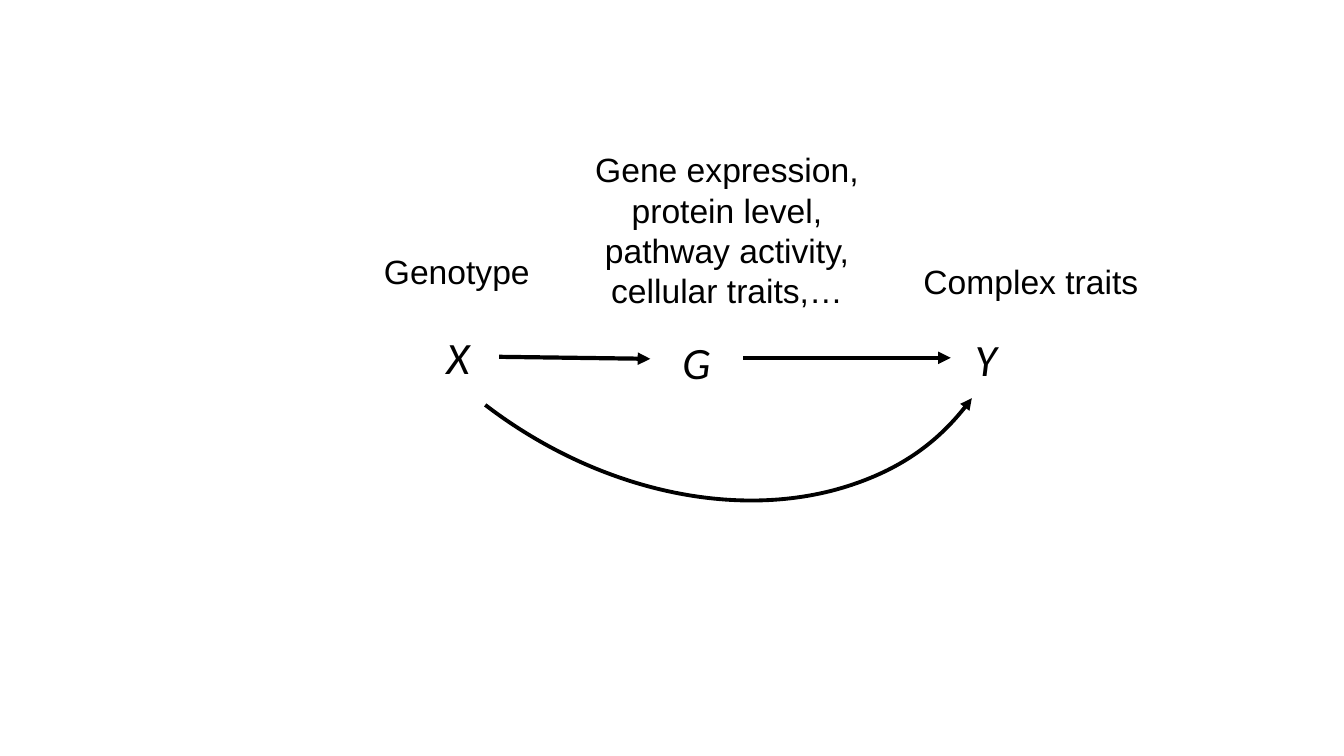
"""Builds a slide with a causal diagram from genotype to complex traits."""
from dataclasses import dataclass

from lxml import etree
from pptx import Presentation
from pptx.dml.color import RGBColor
from pptx.dml.line import LineFormat
from pptx.enum.shapes import MSO_CONNECTOR, MSO_SHAPE
from pptx.enum.text import MSO_AUTO_SIZE, PP_ALIGN
from pptx.oxml.ns import qn
from pptx.slide import Slide
from pptx.util import Pt

PX = 9144
BLACK = RGBColor(0x00, 0x00, 0x00)
STRAIGHT = MSO_CONNECTOR.STRAIGHT
ARC = MSO_SHAPE.ARC
GROW = MSO_AUTO_SIZE.SHAPE_TO_FIT_TEXT
LEFT, CENTER = PP_ALIGN.LEFT, PP_ALIGN.CENTER
BLANK_LAYOUT = 6


@dataclass(frozen=True)
class Style:
    font: str
    size: int
    italic: bool


@dataclass(frozen=True)
class Label:
    left: int
    top: int
    width: int
    height: int
    lines: tuple[str, ...]
    style: Style
    align: PP_ALIGN = LEFT


@dataclass(frozen=True)
class Arrow:
    start: tuple[int, int]
    end: tuple[int, int]


CAPTION = Style("Arial", 24, False)
VARIABLE = Style("Calibri", 32, True)

LABELS = (
    Label(371, 244, 166, 50, ("Genotype",), CAPTION),
    Label(579, 143, 284, 212,
          ("Gene expression,", "protein level,", "pathway activity,", "cellular traits,…"),
          CAPTION, CENTER),
    Label(906, 254, 235, 91, ("Complex traits",), CAPTION),
    Label(433, 322, 54, 64, ("X",), VARIABLE),
    Label(667, 327, 55, 64, ("G",), VARIABLE),
    Label(957, 324, 54, 64, ("Y",), VARIABLE),
)
ARROWS = (
    Arrow((495, 354), (645, 356)),
    Arrow((737, 355), (943, 355)),
)


def format_line(line: LineFormat, width: float, arrow_end: str) -> None:
    line.color.rgb = BLACK
    line.width = Pt(width)
    tip = etree.SubElement(line._get_or_add_ln(), qn(f"a:{arrow_end}"))
    tip.set("type", "triangle")


def draw_direct_effect(page: Slide) -> None:
    arc = page.shapes.add_shape(ARC, 375 * PX, -193 * PX, 572 * PX, 744 * PX)
    arc.rotation = 125.5
    arc.adjustments[0] = 162
    arc.adjustments[1] = 2.04
    arc.shadow.inherit = False
    arc.fill.background()
    format_line(arc.line, 2.75, "headEnd")


def draw_label(page: Slide, label: Label) -> None:
    box = page.shapes.add_textbox(
        label.left * PX, label.top * PX, label.width * PX, label.height * PX)
    frame = box.text_frame
    frame.word_wrap = False
    frame.auto_size = GROW
    for index, line in enumerate(label.lines):
        para = frame.add_paragraph() if index else frame.paragraphs[0]
        para.alignment = label.align
        span = para.add_run()
        span.text = line
        span.font.name = label.style.font
        span.font.size = Pt(label.style.size)
        span.font.italic = label.style.italic
        span.font.color.rgb = BLACK


def draw_arrow(page: Slide, arrow: Arrow) -> None:
    ends = [value * PX for value in (*arrow.start, *arrow.end)]
    connector = page.shapes.add_connector(STRAIGHT, *ends)
    format_line(connector.line, 3, "tailEnd")
    etree.SubElement(connector._element.spPr, qn("a:effectLst"))


def main() -> None:
    deck = Presentation()
    deck.slide_width, deck.slide_height = 1333 * PX, 750 * PX
    page = deck.slides.add_slide(deck.slide_layouts[BLANK_LAYOUT])
    draw_direct_effect(page)
    for label in LABELS:
        draw_label(page, label)
    for arrow in ARROWS:
        draw_arrow(page, arrow)
    deck.save("out.pptx")


if __name__ == "__main__":
    main()
